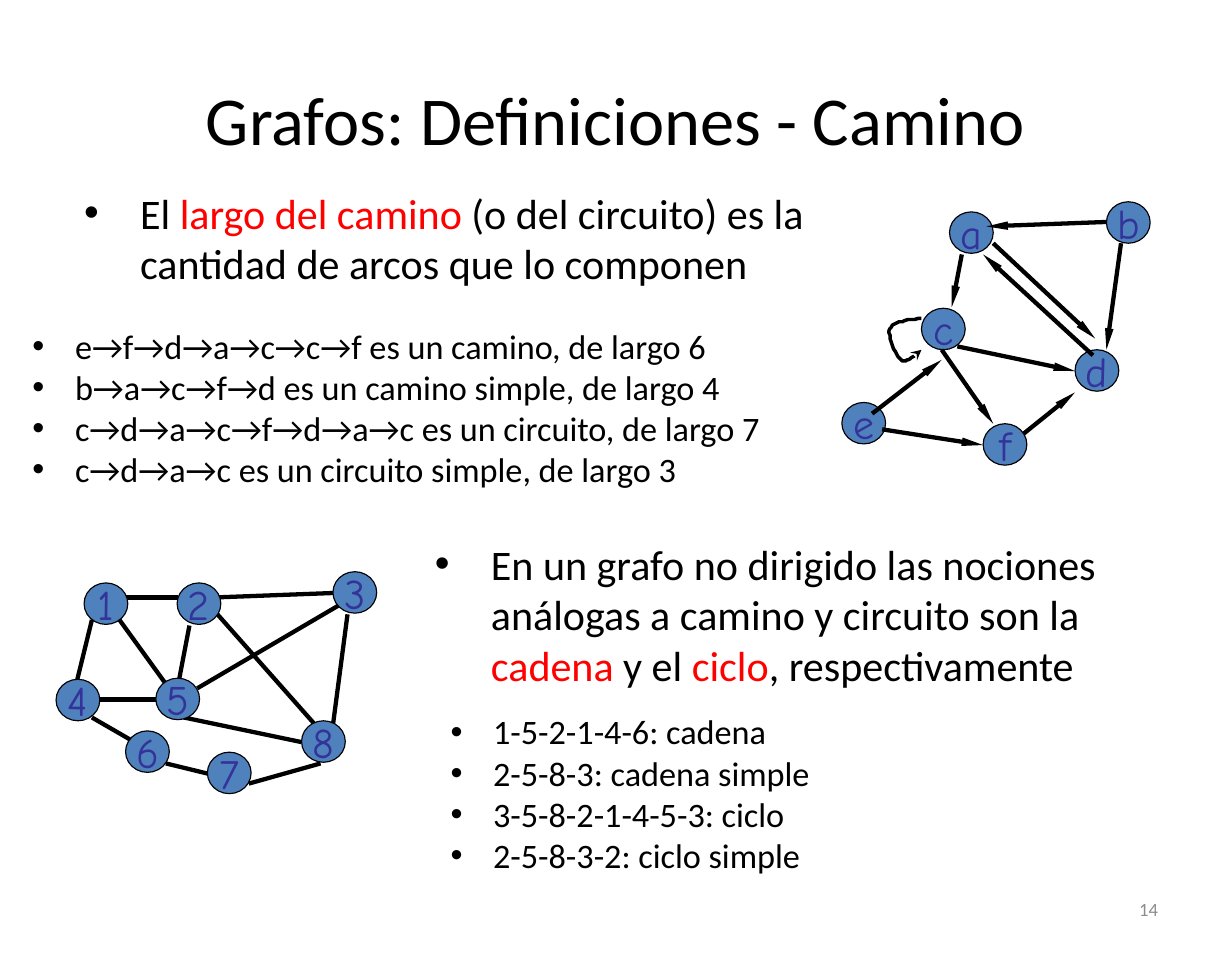
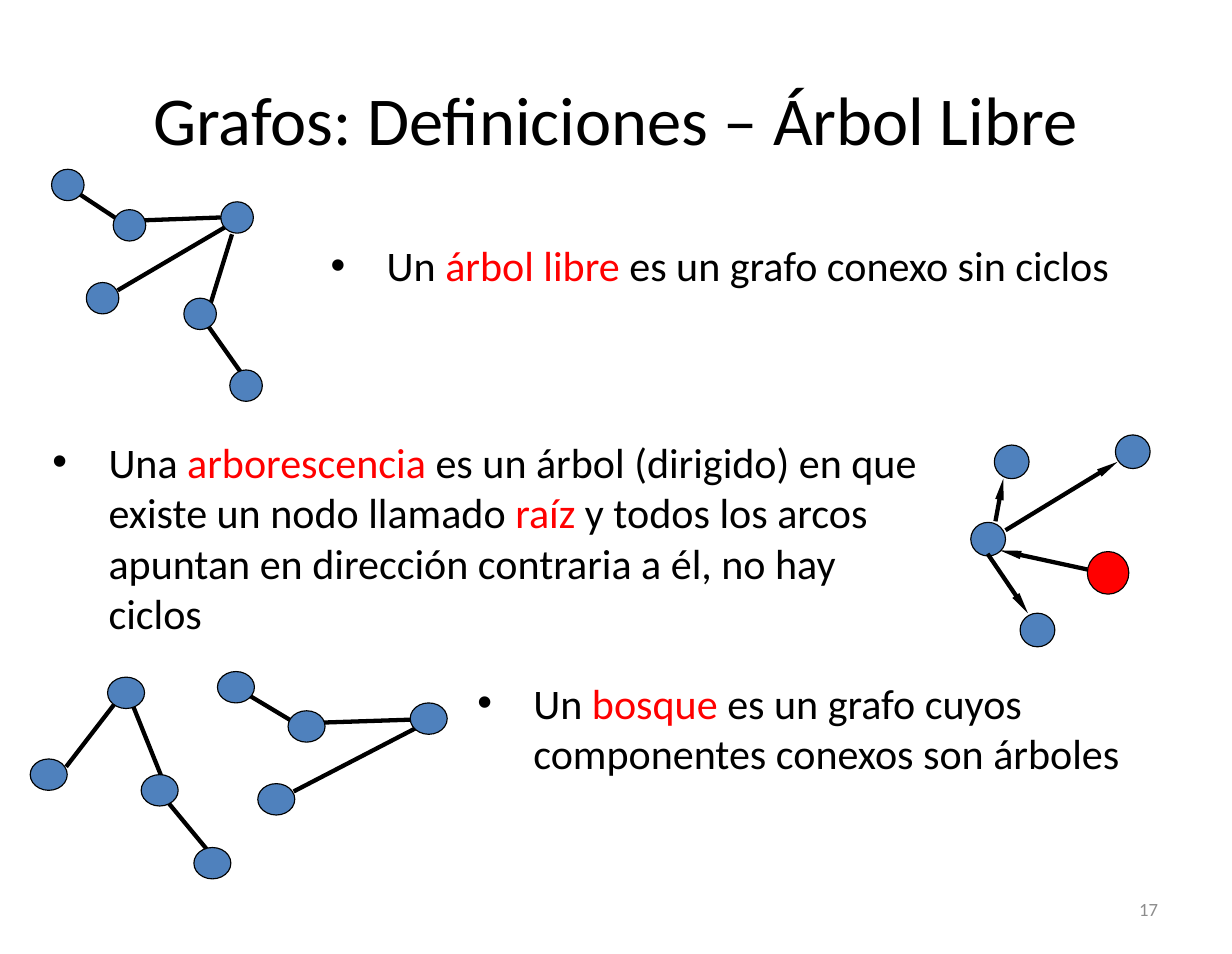
from dataclasses import dataclass
from typing import NamedTuple

from lxml.etree import SubElement
from pptx import Presentation
from pptx.dml.color import RGBColor
from pptx.enum.shapes import MSO_CONNECTOR as Connector, MSO_SHAPE as Preset
from pptx.enum.text import MSO_ANCHOR as Anchor, MSO_AUTO_SIZE as AutoSize, PP_ALIGN as Align
from pptx.oxml.ns import qn
from pptx.util import Emu, Pt

PX = 9144  # 100 px to the inch
SLIDE_SIZE = (1099, 851)
TITLE_BOX = (55, 34, 989, 142)
NUMBER_BOX = (787, 788, 256, 45)

INK = "000000"
ACCENT = "FF0000"
NODE_FILL = "4F81BD"
LABEL = "333399"
MUTED = "8C8C8C"
BODY_FONT = "Calibri"
LABEL_FONT = "Comic Neue"
EDGE_WIDTH = 2.75


class Run(NamedTuple):
    text: str
    colour: str = INK


class Node(NamedTuple):
    left: int
    top: int
    label: str = ""
    fill: str = NODE_FILL


class Edge(NamedTuple):
    x1: int
    y1: int
    x2: int
    y2: int


@dataclass(frozen=True)
class Graph:
    """Directed edges point to their second end and lie over the nodes."""
    node_size: tuple[int, int]
    nodes: tuple[Node, ...]
    edges: tuple[Edge, ...]
    directed: bool = False
    loop: tuple[tuple[int, int], ...] = ()


@dataclass(frozen=True)
class BulletList:
    box: tuple[int, int, int, int]
    items: tuple[tuple[Run, ...], ...]
    size: int = 27
    indent: int = 50
    insets: tuple[int, int] = (11, 6)


@dataclass(frozen=True)
class Page:
    title: str
    number: int
    lists: tuple[BulletList, ...]
    graphs: tuple[Graph, ...]


def px(length: float) -> Emu:
    return Emu(round(length * PX))


def rgb(colour: str) -> RGBColor:
    return RGBColor.from_string(colour)


def add_run(paragraph, run: Run, size: int, font: str = BODY_FONT) -> None:
    part = paragraph.add_run()
    part.text = run.text
    part.font.size = Pt(size)
    part.font.name = font
    part.font.color.rgb = rgb(run.colour)


def set_line(shape, width: float) -> None:
    shape.line.color.rgb = rgb(INK)
    shape.line.width = Pt(width)


def add_arrowhead(shape, kind: str, width: str, length: str) -> None:
    outline = shape.element.spPr.find(qn("a:ln"))
    SubElement(outline, qn("a:tailEnd"), type=kind, w=width, len=length)


def draw_title(slide, text: str) -> None:
    title = slide.shapes.title
    title.left, title.top, title.width, title.height = map(px, TITLE_BOX)
    title.text_frame.vertical_anchor = Anchor.MIDDLE
    paragraph = title.text_frame.paragraphs[0]
    paragraph.alignment = Align.CENTER
    add_run(paragraph, Run(text), 44)


def draw_number(slide, number: int) -> None:
    frame = slide.shapes.add_textbox(*map(px, NUMBER_BOX)).text_frame
    frame.word_wrap = True
    frame.vertical_anchor = Anchor.MIDDLE
    frame.paragraphs[0].alignment = Align.RIGHT
    add_run(frame.paragraphs[0], Run(str(number), MUTED), 12)


def draw_list(slide, bullets: BulletList) -> None:
    frame = slide.shapes.add_textbox(*map(px, bullets.box)).text_frame
    frame.word_wrap = True
    frame.auto_size = AutoSize.SHAPE_TO_FIT_TEXT
    side, edge = map(px, bullets.insets)
    frame.margin_left = frame.margin_right = side
    frame.margin_top = frame.margin_bottom = edge
    for index, runs in enumerate(bullets.items):
        paragraph = frame.add_paragraph() if index else frame.paragraphs[0]
        properties = paragraph._p.get_or_add_pPr()
        properties.set("marL", str(px(bullets.indent)))
        properties.set("indent", str(-px(bullets.indent)))
        SubElement(properties, qn("a:buFont"), typeface="Arial")
        SubElement(properties, qn("a:buChar"), char="•")
        for run in runs:
            add_run(paragraph, run, bullets.size)


def draw_node(shapes, node: Node, size: tuple[int, int]) -> None:
    circle = shapes.add_shape(Preset.OVAL, *map(px, (node.left, node.top, *size)))
    circle.shadow.inherit = False
    circle.fill.solid()
    circle.fill.fore_color.rgb = rgb(node.fill)
    set_line(circle, 0.75)
    if node.label:
        frame = circle.text_frame
        frame.word_wrap = False
        frame.vertical_anchor = Anchor.MIDDLE
        frame.paragraphs[0].alignment = Align.CENTER
        add_run(frame.paragraphs[0], Run(node.label, LABEL), 27, LABEL_FONT)


def draw_edge(shapes, edge: Edge, directed: bool) -> None:
    link = shapes.add_connector(Connector.STRAIGHT, *map(px, edge))
    set_line(link, EDGE_WIDTH)
    if directed:
        add_arrowhead(link, "triangle", "sm", "lg")
    SubElement(link.element.spPr, qn("a:effectLst"))


def bezier(controls, steps: int = 12) -> list[tuple[float, float]]:
    """Points along one cubic curve, without its start."""
    points = []
    for step in range(1, steps + 1):
        t = step / steps
        weights = ((1 - t) ** 3, 3 * t * (1 - t) ** 2, 3 * t * t * (1 - t), t ** 3)
        points.append(tuple(sum(w * c[axis] for w, c in zip(weights, controls))
                            for axis in (0, 1)))
    return points


def draw_loop(shapes, controls) -> None:
    """An arrow through chained cubic curves, three controls to each."""
    outline = shapes.build_freeform(*controls[0], scale=PX)
    for start in range(0, len(controls) - 1, 3):
        outline.add_line_segments(bezier(controls[start:start + 4]), close=False)
    loop = outline.convert_to_shape()
    loop.shadow.inherit = False
    loop.fill.background()
    set_line(loop, 2.25)
    add_arrowhead(loop, "stealth", "med", "med")


def draw_graph(slide, graph: Graph) -> None:
    shapes = slide.shapes.add_group_shape().shapes
    parts = (*graph.nodes, *graph.edges) if graph.directed else (*graph.edges, *graph.nodes)
    for part in parts:
        if isinstance(part, Node):
            draw_node(shapes, part, graph.node_size)
        else:
            draw_edge(shapes, part, graph.directed)
    if graph.loop:
        draw_loop(shapes, graph.loop)


PATH_GRAPH = Graph(
    (39, 37),
    (Node(847, 189, "a"), Node(987, 180, "b"), Node(822, 275, "c"),
     Node(959, 312, "d"), Node(751, 359, "e"), Node(877, 378, "f")),
    (Edge(858, 227, 849, 274), Edge(886, 217, 977, 302), Edge(987, 198, 880, 202),
     Edge(975, 317, 877, 227), Edge(840, 312, 886, 378), Edge(854, 309, 959, 331),
     Edge(1000, 217, 987, 312), Edge(913, 387, 959, 350), Edge(778, 369, 840, 321),
     Edge(787, 383, 877, 397)),
    directed=True,
    loop=((822, 284), (810, 285), (797, 287), (794, 293),
          (791, 299), (799, 318), (804, 321), (808, 324), (815, 318), (822, 312)),
)

CHAIN_GRAPH = Graph(
    (39, 37),
    (Node(75, 520, "1"), Node(158, 520, "2"), Node(297, 510, "3"), Node(50, 606, "4"),
     Node(139, 605, "5"), Node(112, 652, "6"), Node(185, 671, "7"), Node(269, 643, "8")),
    (Edge(176, 614, 304, 539), Edge(84, 624, 148, 624), Edge(148, 681, 185, 690),
     Edge(103, 548, 158, 624), Edge(222, 699, 286, 681), Edge(107, 533, 159, 533),
     Edge(127, 666, 82, 640), Edge(69, 606, 82, 553), Edge(169, 558, 160, 605),
     Edge(194, 548, 286, 652), Edge(190, 533, 297, 529), Edge(269, 662, 164, 640),
     Edge(295, 662, 310, 548)),
)

FREE_TREE = Graph(
    (29, 28),
    (Node(77, 252), Node(205, 330), Node(46, 151), Node(197, 180), Node(164, 266),
     Node(101, 187)),
    (Edge(105, 259, 202, 202), Edge(219, 338, 178, 280), Edge(60, 166, 113, 201),
     Edge(116, 197, 197, 194), Edge(185, 280, 207, 209)),
)

ARBORESCENCE = Graph(
    (31, 30),
    (Node(887, 397), Node(910, 547), Node(866, 466), Node(995, 388)),
    (Edge(897, 473, 997, 412), Edge(888, 465, 895, 427), Edge(881, 494, 917, 547),
     Edge(970, 508, 892, 491)),
    directed=True,
)
ROOT = Graph((37, 38), (Node(970, 492, fill=ACCENT),), ())

FOREST = Graph(
    (33, 28),
    (Node(27, 677), Node(173, 756), Node(96, 604), Node(126, 691),
     Node(230, 699), Node(194, 599), Node(366, 627), Node(257, 634)),
    (Edge(59, 684, 106, 623), Edge(189, 763, 141, 705), Edge(149, 705, 116, 623),
     Edge(262, 706, 372, 649), Edge(210, 613, 270, 649), Edge(274, 645, 366, 642)),
)

PAGES = (
    Page("Grafos: Definiciones - Camino", 14, (
        BulletList((64, 161, 677, 102), ((
            Run("El "), Run("largo del camino ", ACCENT),
            Run("(o del circuito) es la cantidad de arcos que lo componen")),)),
        BulletList((377, 474, 677, 147), ((
            Run("En un grafo no dirigido las nociones análogas a camino y circuito son la "),
            Run("cadena ", ACCENT), Run("y el "), Run("ciclo", ACCENT),
            Run(", respectivamente")),)),
        BulletList((18, 284, 943, 163), (
            (Run("e→f→d→a→c→c→f es un camino, de largo 6"),),
            (Run("b→a→c→f→d es un camino simple, de largo 4"),),
            (Run("c→d→a→c→f→d→a→c es un circuito, de largo 7"),),
            (Run("c→d→a→c es un circuito simple, de largo 3"),)), 22, 38),
        BulletList((391, 628, 476, 163), (
            (Run("1-5-2-1-4-6: cadena"),),
            (Run("2-5-8-3: cadena simple"),),
            (Run("3-5-8-2-1-4-5-3: ciclo"),),
            (Run("2-5-8-3-2: ciclo simple"),)), 22, 38),
    ), (PATH_GRAPH, CHAIN_GRAPH)),
    Page("Grafos: Definiciones – Árbol Libre", 17, (
        BulletList((284, 208, 723, 57), ((
            Run("Un "), Run("árbol libre ", ACCENT),
            Run("es un grafo conexo sin ciclos")),)),
        BulletList((37, 384, 806, 192), ((
            Run("Una "), Run("arborescencia", ACCENT),
            Run(" es un árbol (dirigido) en que existe un nodo llamado "),
            Run("raíz", ACCENT),
            Run(" y todos los arcos apuntan en dirección contraria a él, no hay ciclos")),),
            insets=(10, 5)),
        BulletList((416, 599, 612, 101), ((
            Run("Un "), Run("bosque", ACCENT),
            Run(" es un grafo cuyos componentes conexos son árboles")),),
            insets=(10, 5)),
    ), (FREE_TREE, ARBORESCENCE, ROOT, FOREST)),
)


def main() -> None:
    deck = Presentation()
    deck.slide_width, deck.slide_height = map(px, SLIDE_SIZE)
    title_only = deck.slide_layouts[5]
    for page in PAGES:
        slide = deck.slides.add_slide(title_only)
        draw_title(slide, page.title)
        for bullets in page.lists:
            draw_list(slide, bullets)
        for graph in page.graphs:
            draw_graph(slide, graph)
        draw_number(slide, page.number)
    deck.save("out.pptx")


if __name__ == "__main__":
    main()
